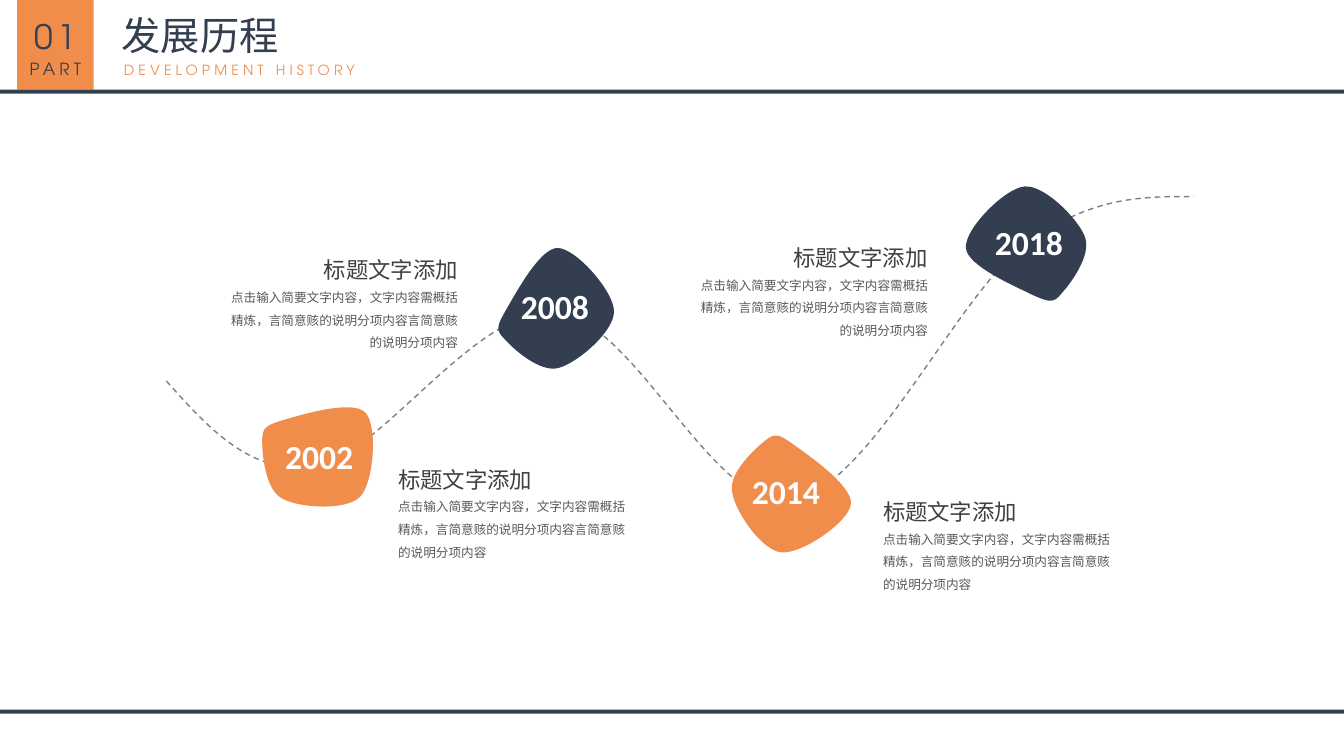
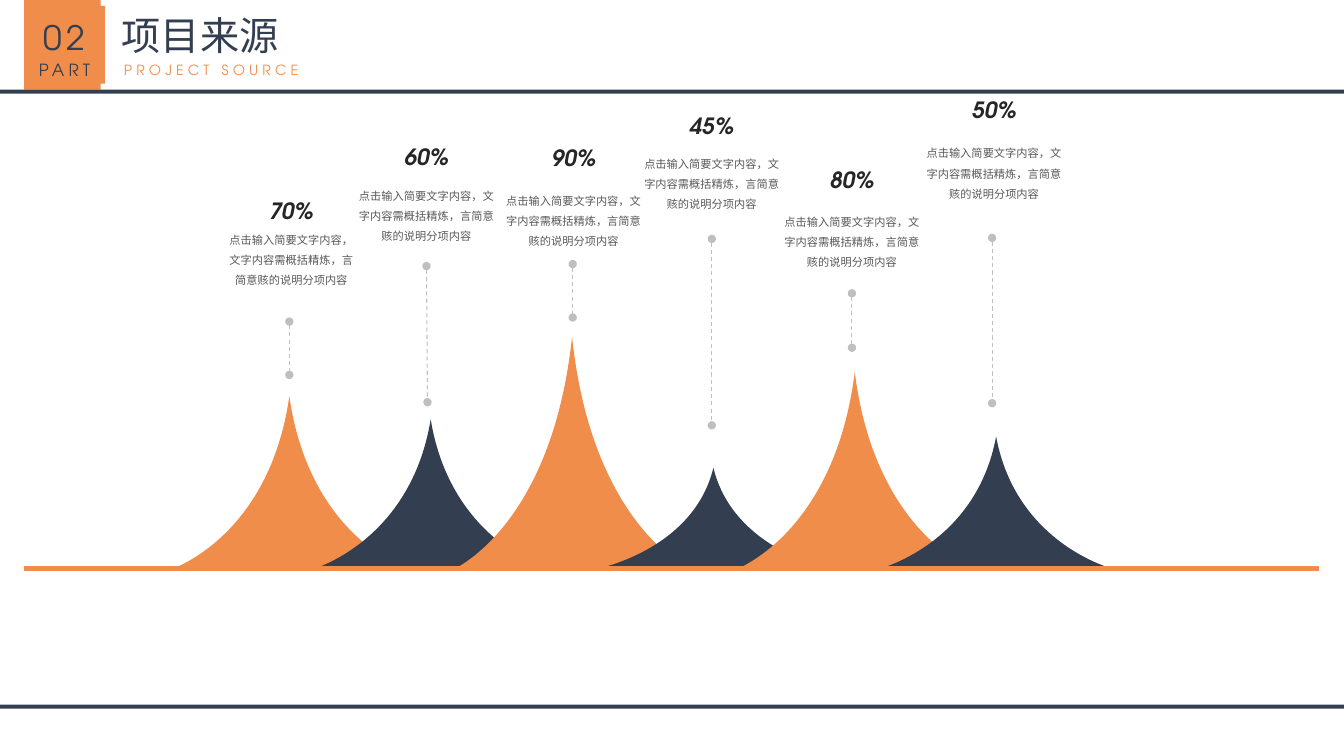
"""Build the development history and project source slides."""
from lxml import etree
from pptx import Presentation
from pptx.dml.color import RGBColor
from pptx.enum.dml import MSO_LINE_DASH_STYLE as DASH
from pptx.enum.shapes import MSO_CONNECTOR, MSO_SHAPE
from pptx.enum.text import MSO_AUTO_SIZE, PP_ALIGN
from pptx.oxml.ns import qn
from pptx.util import Inches, Pt

ORANGE = RGBColor(0xF0, 0x8D, 0x4B)
NAVY = RGBColor(0x33, 0x3F, 0x50)
WHITE = RGBColor(0xFF, 0xFF, 0xFF)
INK = RGBColor(0x26, 0x26, 0x26)
HEADING = RGBColor(0x40, 0x40, 0x40)
BODY = RGBColor(0x59, 0x59, 0x59)
CURVE = RGBColor(0x80, 0x80, 0x80)
PIN = RGBColor(0xBF, 0xBF, 0xBF)
CJK, LATIN, NUMERAL = "Noto Sans CJK SC", "TeX Gyre Adventor", "Calibri"
LEFT, CENTER, RIGHT = PP_ALIGN.LEFT, PP_ALIGN.CENTER, PP_ALIGN.RIGHT
SLIDE_W, SLIDE_H = 13.33, 7.5

EVENT_TITLE = "标题文字添加"
EVENT_TEXT = "点击输入简要文字内容，文字内容需概括精炼，言简意赅的说明分项内容言简意赅的说明分项内容"
PEAK_TEXT = "点击输入简要文字内容，文字内容需概括精炼，言简意赅的说明分项内容"

TIMELINE = [(1.65, 3.78),
            (2.08, 4.26), (2.5, 4.73), (3.14, 4.62),
            (3.79, 4.51), (4.72, 3.04), (5.51, 3.1),
            (6.29, 3.15), (7.07, 5.08), (7.84, 4.97),
            (8.61, 4.86), (9.48, 2.95), (10.14, 2.45),
            (10.81, 1.94), (11.33, 1.95), (11.84, 1.95)]

EVENTS = [(3.85, 4.52, LEFT), (8.66, 4.84, LEFT),
          (6.74, 2.32, RIGHT), (2.08, 2.44, RIGHT)]

PEBBLES = [
    ("2002", 2.7, 4.28, ORANGE,
     [(2.8, 4.17), (2.97, 4.12), (3.49, 3.96), (3.62, 4.09),
      (3.75, 4.21), (3.71, 4.79), (3.57, 4.93),
      (3.43, 5.07), (2.95, 5.04), (2.79, 4.94),
      (2.63, 4.85), (2.6, 4.5), (2.6, 4.37),
      (2.6, 4.24), (2.64, 4.22), (2.8, 4.17)]),
    ("2008", 5.04, 2.79, NAVY,
     [(5.01, 3.09), (5.1, 2.94), (5.35, 2.46), (5.53, 2.46),
      (5.71, 2.46), (6.09, 2.89), (6.09, 3.09),
      (6.09, 3.29), (5.73, 3.6), (5.54, 3.65),
      (5.36, 3.7), (5.1, 3.47), (5.01, 3.37),
      (4.92, 3.28), (4.92, 3.25), (5.01, 3.09)]),
    ("2014", 7.33, 4.62, ORANGE,
     [(7.87, 4.41), (8.01, 4.51), (8.46, 4.82), (8.44, 5),
      (8.42, 5.18), (7.95, 5.5), (7.75, 5.48),
      (7.55, 5.46), (7.28, 5.06), (7.26, 4.87),
      (7.23, 4.69), (7.49, 4.45), (7.59, 4.37),
      (7.69, 4.29), (7.73, 4.31), (7.87, 4.41)]),
    ("2018", 9.74, 2.15, NAVY,
     [(10.25, 2.93), (10.09, 2.85), (9.59, 2.64), (9.58, 2.46),
      (9.56, 2.28), (9.96, 1.87), (10.16, 1.85),
      (10.36, 1.83), (10.7, 2.18), (10.76, 2.35),
      (10.83, 2.53), (10.62, 2.81), (10.53, 2.91),
      (10.45, 3.01), (10.41, 3), (10.25, 2.93)]),
]

PEAK_X, PEAK_LAST_X, PEAK_HALF, PEAK_BASE = 2.87, 9.88, 1.18, 5.65
PEAKS = [
    (3.93, (2.87, 3.19, 2.87, 3.72), ("70%", 2.47, 1.91), (2.13, 2.2, 1.52)),
    (4.16, (4.23, 2.64, 4.24, 3.99), ("60%", 3.81, 1.37), (3.45, 1.76, 1.56)),
    (3.34, (5.68, 2.62, 5.68, 3.15), ("90%", 5.27, 1.38), (4.91, 1.81, 1.56)),
    (4.64, (7.06, 2.37, 7.06, 4.22), ("45%", 6.64, 1.06), (6.28, 1.44, 1.56)),
    (3.69, (8.45, 2.91, 8.45, 3.45), ("80%", 8.03, 1.6), (7.67, 2.02, 1.56)),
    (4.33, (9.84, 2.36, 9.84, 4), ("50%", 9.44, 0.9), (9.08, 1.34, 1.56)),
]
PEAK_STEP = (PEAK_LAST_X - PEAK_X) / (len(PEAKS) - 1)


def add_text(s, box, lines, font, color, align=LEFT, spacing=None,
             tracking=None, wrap=True, bold=None, italic=None):
    """Add a text box with one (text, size) pair per paragraph."""
    sp = s.shapes.add_textbox(*map(Inches, box))
    tf = sp.text_frame
    tf.word_wrap = wrap
    tf.auto_size = MSO_AUTO_SIZE.SHAPE_TO_FIT_TEXT
    for i, (text, size) in enumerate(lines):
        p = tf.add_paragraph() if i else tf.paragraphs[0]
        p.alignment = align
        p.line_spacing = spacing
        r = p.add_run()
        r.text = text
        f = r.font
        f.name, f.size, f.bold, f.italic = font, Pt(size), bold, italic
        f.color.rgb = color
        rpr = r._r.get_or_add_rPr()
        etree.SubElement(rpr, qn("a:ea"), typeface=font)
        if tracking:
            rpr.set("spc", str(tracking * 100))
    return sp


def paint(sp, color):
    """Give a shape a plain fill without line or shadow."""
    sp.shadow.inherit = False
    sp.fill.solid()
    sp.fill.fore_color.rgb = color
    sp.line.fill.background()


def add_rect(s, box, color):
    """Add a plain rectangle."""
    paint(s.shapes.add_shape(MSO_SHAPE.RECTANGLE, *map(Inches, box)), color)


def add_curve(s, points, close=True):
    """Add a freeform of chained cubic curves, three points to a curve."""
    points = [(Inches(x), Inches(y)) for x, y in points]
    builder = s.shapes.build_freeform(*points[0], scale=1.0)
    builder.add_line_segments(points[3::3], close=close)
    sp = builder.convert_to_shape()
    segments = list(sp._element.iter(qn("a:lnTo")))
    for i, segment in enumerate(segments):
        segment.tag = qn("a:cubicBezTo")
        for n, (x, y) in enumerate(points[3 * i + 1:3 * i + 3]):
            pt = etree.Element(qn("a:pt"), x=str(x - sp.left), y=str(y - sp.top))
            segment.insert(n, pt)
    return sp


def add_line(s, ends, color, width, pinned=False):
    """Add a straight line, dashed with round ends when pinned."""
    cx = s.shapes.add_connector(MSO_CONNECTOR.STRAIGHT, *map(Inches, ends))
    cx.line.color.rgb = color
    cx.line.width = Pt(width)
    if pinned:
        cx.line.dash_style = DASH.DASH
        ln = cx.line._get_or_add_ln()
        for end in ("a:headEnd", "a:tailEnd"):
            etree.SubElement(ln, qn(end), type="oval")
    etree.SubElement(cx._element.spPr, qn("a:effectLst"))


def add_frame(s, number, title, subtitle, badge_x, number_box, footer_y, number_fill=None):
    """Add the title, part badge and bands."""
    add_text(s, (1.11, 0.06, 1.77, 0.57), [(title, 28)], CJK, NAVY, wrap=False)
    add_text(s, (1.13, 0.54, 2.91, 0.28), [(subtitle, 10)], LATIN, ORANGE,
             spacing=1.14, tracking=3)
    add_rect(s, (badge_x, 0, 0.76, 0.89), ORANGE)
    label = add_text(s, number_box, [(number, 24), ("PART", 12)],
                     LATIN, NAVY, CENTER, 1.14, 3)
    if number_fill:
        paint(label, number_fill)
    for y in (0.89, footer_y):
        add_rect(s, (0, y, SLIDE_W, 0.04), NAVY)


def add_event(s, x, y, align):
    """Add a heading and its description."""
    heading_x = x + 0.43 if align == RIGHT else x
    add_text(s, (x, y + 0.31, 2.56, 0.76), [(EVENT_TEXT, 9)], CJK, BODY, align, 1.5)
    add_text(s, (heading_x, y, 2.13, 0.4), [(EVENT_TITLE, 16)], CJK, HEADING, align, 1.2)


def add_peak(s, x, top, color):
    """Add a pointed hill standing on the base line."""
    shoulder = PEAK_BASE - 0.18 * (PEAK_BASE - top)
    right, left = (x + PEAK_HALF, PEAK_BASE), (x - PEAK_HALF, PEAK_BASE)
    paint(add_curve(s, [right, right, (x + 0.2, shoulder), (x, top),
                        (x - 0.2, shoulder), left, left]), color)


def build_history(s):
    """Build the timeline slide."""
    curve = add_curve(s, TIMELINE, close=False)
    curve.shadow.inherit = False
    curve.fill.background()
    curve.line.color.rgb = CURVE
    curve.line.width = Pt(1)
    curve.line.dash_style = DASH.DASH
    for event in EVENTS:
        add_event(s, *event)
    for year, x, y, color, outline in PEBBLES:
        paint(add_curve(s, outline), color)
        add_text(s, (x, y, 0.93, 0.5), [(year, 24)], NUMERAL, WHITE, CENTER, bold=True)
    add_frame(s, "01", "发展历程", "DEVELOPMENT HISTORY", 0.17,
              (0.15, 0.05, 0.8, 0.77), 7.04)


def build_source(s):
    """Build the peaks slide."""
    for i, (top, *_) in enumerate(PEAKS):
        add_peak(s, PEAK_X + i * PEAK_STEP, top, NAVY if i % 2 else ORANGE)
    for _, pin, (percent, x, y), (text_x, text_y, text_w) in PEAKS:
        add_line(s, pin, PIN, 0.75, pinned=True)
        add_text(s, (x, y, 0.84, 0.37), [(percent, 16)], LATIN, INK, CENTER,
                 wrap=False, bold=True, italic=True)
        add_text(s, (text_x, text_y, text_w, 0.69), [(PEAK_TEXT, 8)], CJK, BODY,
                 CENTER, 1.5)
    add_line(s, (0.24, 5.64, 13.08, 5.64), ORANGE, 3)
    add_frame(s, "02", "项目来源", "PROJECT SOURCE", 0.24,
              (0.24, 0.06, 0.8, 0.77), 6.99, ORANGE)


def main():
    """Build and save the presentation."""
    prs = Presentation()
    prs.slide_width, prs.slide_height = Inches(SLIDE_W), Inches(SLIDE_H)
    for build in (build_history, build_source):
        build(prs.slides.add_slide(prs.slide_layouts[6]))
    prs.save("out.pptx")


if __name__ == "__main__":
    main()
